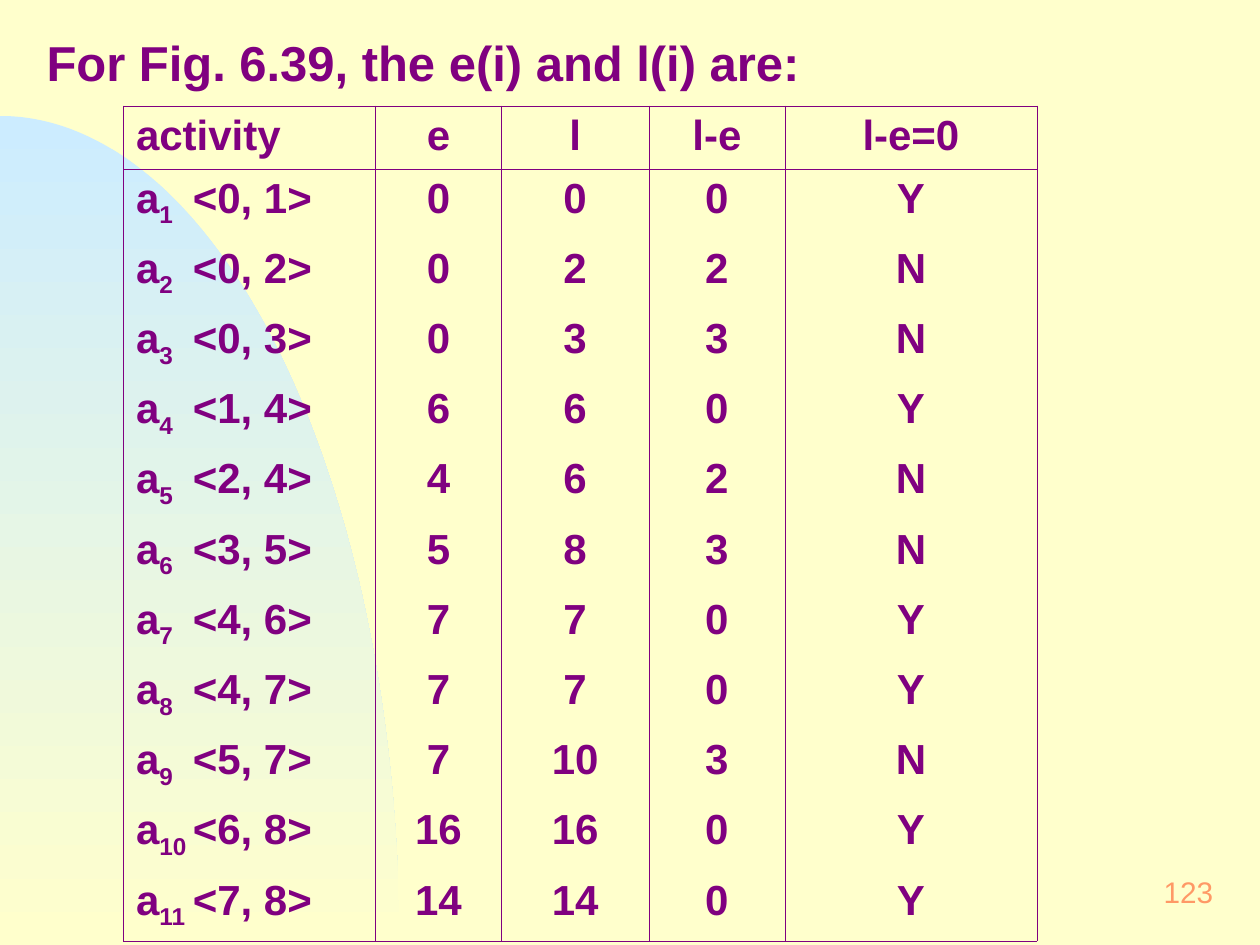
import math

import pptx
import pptx.dml.color
import pptx.enum.text
import pptx.oxml.ns
import pptx.util
from lxml import etree

Inches = pptx.util.Inches
Pt = pptx.util.Pt
RGB = pptx.dml.color.RGBColor.from_string
Align = pptx.enum.text.PP_ALIGN
Anchor = pptx.enum.text.MSO_ANCHOR
qn = pptx.oxml.ns.qn

TITLE = "For Fig. 6.39, the e(i) and l(i) are:"
PAGE_NUMBER = "123"
HEADINGS = ("activity", "e", "l", "l-e", "l-e=0")
# (edge start, edge end, earliest time e, latest time l)
ACTIVITIES = [
    (0, 1, 0, 0),
    (0, 2, 0, 2),
    (0, 3, 0, 3),
    (1, 4, 6, 6),
    (2, 4, 4, 6),
    (3, 5, 5, 8),
    (4, 6, 7, 7),
    (4, 7, 7, 7),
    (5, 7, 7, 10),
    (6, 8, 16, 16),
    (7, 8, 14, 14),
]

THEME = {
    "background": "FFFFCC",
    "arc": ("CCECFF", "FFFFCC"),
    "rule": "800080",
    "rule_width": Pt(0.45),
    "title": {"name": "Arial", "size": Pt(28), "bold": True, "color": "800080"},
    "cell": {"name": "Arial", "size": Pt(24), "bold": True, "color": "800080"},
    "number": {"name": "Arial", "size": Pt(17), "bold": False, "color": "FF9966"},
}

SLIDE_WIDTH, SLIDE_HEIGHT = 10, 7.5
ARC_WIDTH, ARC_TOP, ARC_STEPS = 3.17, 0.92, 90
TABLE_LEFT, TABLE_TOP, TABLE_HEIGHT = 0.98, 0.84, 6.63
COLUMN_WIDTHS = (2, 1, 1.17, 1.08, 2)
HEADER_HEIGHT = 0.5
EDGE_TAB = 0.45


def add_span(para, text, style):
    span = para.add_run()
    span.text = text
    for name, value in style.items():
        if name == "color":
            span.font.color.rgb = RGB(value)
        else:
            setattr(span.font, name, value)
    return span


def format_frame(frame, anchor):
    values = {
        "margin_left": Inches(0.12), "margin_right": Inches(0.12),
        "margin_top": Inches(0.06), "margin_bottom": Inches(0.06),
        "word_wrap": True, "vertical_anchor": anchor,
        "auto_size": pptx.enum.text.MSO_AUTO_SIZE.NONE,
    }
    for name, value in values.items():
        setattr(frame, name, value)


def place(shape, left, top, width, height):
    shape.left, shape.top = Inches(left), Inches(top)
    shape.width, shape.height = Inches(width), Inches(height)


def add_title(page):
    title = page.shapes.title
    place(title, 0.25, 0.2, 9.58, 0.59)
    format_frame(title.text_frame, Anchor.TOP)
    para = title.text_frame.paragraphs[0]
    para.alignment = Align.LEFT
    add_span(para, TITLE, THEME["title"])


def add_page_number(page):
    box = page.shapes.add_textbox(*map(Inches, (7.67, 6.83, 2.08, 0.5)))
    format_frame(box.text_frame, Anchor.MIDDLE)
    para = box.text_frame.paragraphs[0]
    para.alignment = Align.RIGHT
    add_span(para, PAGE_NUMBER, THEME["number"])


def add_arc(page):
    """Quarter ellipse that fills the lower left corner."""
    height = SLIDE_HEIGHT - ARC_TOP
    angles = [math.pi / 2 * step / ARC_STEPS for step in range(ARC_STEPS + 1)]
    points = [
        (Inches(ARC_WIDTH * math.sin(angle)),
         Inches(SLIDE_HEIGHT - height * math.cos(angle)))
        for angle in angles
    ]
    builder = page.shapes.build_freeform(*points[0])
    builder.add_line_segments(points[1:] + [(0, Inches(SLIDE_HEIGHT))], close=True)
    arc = builder.convert_to_shape()
    arc.shadow.inherit = False
    arc.line.fill.background()
    arc.fill.gradient()
    arc.fill.gradient_angle = 270
    for stop, color in zip(arc.fill.gradient_stops, THEME["arc"]):
        stop.color.rgb = RGB(color)


def set_borders(cell, ruled_sides):
    properties = cell._tc.get_or_add_tcPr()
    for side in "LRTB":
        line = etree.SubElement(properties, qn(f"a:ln{side}"))
        if side in ruled_sides:
            line.set("w", str(THEME["rule_width"]))
            fill = etree.SubElement(line, qn("a:solidFill"))
            etree.SubElement(fill, qn("a:srgbClr"), val=THEME["rule"])
        else:
            etree.SubElement(line, qn("a:noFill"))


def write_activity(para, number, start, end):
    """Write the subscripted activity name, then its edge at a tab stop."""
    tabs = etree.SubElement(para._p.get_or_add_pPr(), qn("a:tabLst"))
    etree.SubElement(tabs, qn("a:tab"), pos=str(Inches(EDGE_TAB)), algn="l")
    add_span(para, "a", THEME["cell"])
    subscript = add_span(para, str(number), THEME["cell"])
    subscript._r.get_or_add_rPr().set("baseline", "-25000")
    add_span(para, f"\t<{start}, {end}>", THEME["cell"])


def add_activity_table(page):
    row_count = len(ACTIVITIES) + 1
    table = page.shapes.add_table(
        row_count, len(HEADINGS), Inches(TABLE_LEFT), Inches(TABLE_TOP),
        Inches(sum(COLUMN_WIDTHS)), Inches(TABLE_HEIGHT)).table
    table.first_row = table.horz_banding = False
    for column, width in zip(table.columns, COLUMN_WIDTHS):
        column.width = Inches(width)
    body_height = (TABLE_HEIGHT - HEADER_HEIGHT) / len(ACTIVITIES)
    for index, row in enumerate(table.rows):
        row.height = Inches(body_height if index else HEADER_HEIGHT)
        if index:
            start, end, early, late = ACTIVITIES[index - 1]
            slack = late - early
            texts = (None, early, late, slack, "N" if slack else "Y")
        else:
            texts = HEADINGS
        sides = "LR" + ("T" if index < 2 else "")
        sides += "B" if index in (0, row_count - 1) else ""
        for position, (cell, text) in enumerate(zip(row.cells, texts)):
            set_borders(cell, sides)
            cell.fill.background()
            para = cell.text_frame.paragraphs[0]
            para.alignment = Align.CENTER if position else Align.LEFT
            if text is None:
                write_activity(para, index, start, end)
            else:
                add_span(para, str(text), THEME["cell"])


def main():
    deck = pptx.Presentation()
    deck.slide_width, deck.slide_height = Inches(SLIDE_WIDTH), Inches(SLIDE_HEIGHT)
    page = deck.slides.add_slide(deck.slide_layouts.get_by_name("Title Only"))
    page.background.fill.solid()
    page.background.fill.fore_color.rgb = RGB(THEME["background"])
    add_arc(page)
    add_page_number(page)
    add_title(page)
    add_activity_table(page)
    deck.save("out.pptx")


if __name__ == "__main__":
    main()
